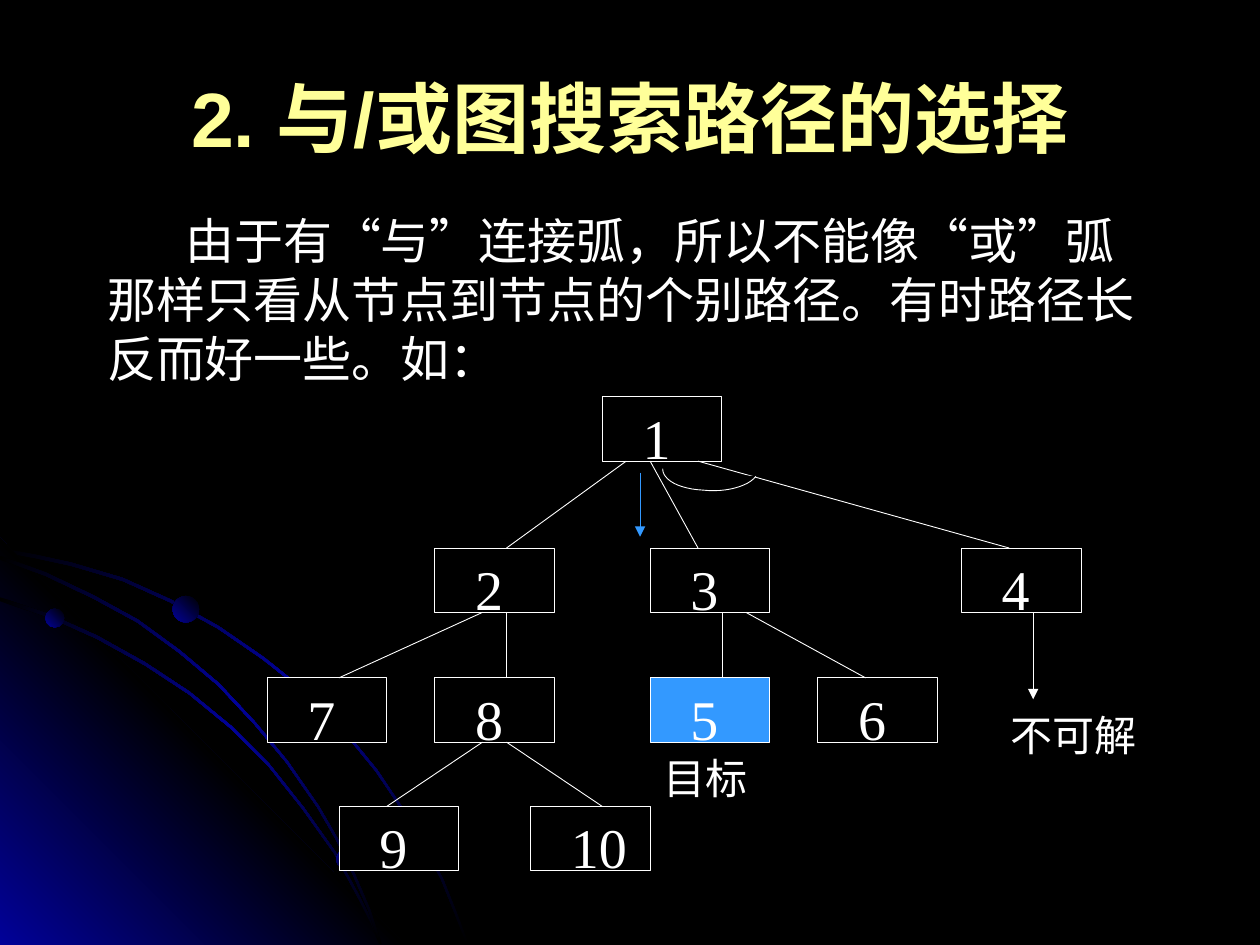
from lxml.etree import SubElement
from pptx import Presentation
from pptx.dml.color import RGBColor
from pptx.enum.shapes import MSO_CONNECTOR, MSO_SHAPE
from pptx.enum.text import MSO_ANCHOR, MSO_AUTO_SIZE, PP_ALIGN
from pptx.oxml.ns import qn
from pptx.util import Inches, Pt

COLORS = {"background": "000000", "text": "FFFFFF", "title": "FFFF99",
          "accent": "3399FF", "glow": "010199"}
BODY_FONT = "Times New Roman"

# Tree layout: label -> (left, top)
ROWS = [3.15, 4.35, 5.38, 6.4]
NODE_WIDTH, NODE_HEIGHT = 0.95, 0.51
NODES = {"1": (4.78, ROWS[0]),
         "2": (3.45, ROWS[1]), "3": (5.16, ROWS[1]), "4": (7.63, ROWS[1]),
         "7": (2.12, ROWS[2]), "8": (3.45, ROWS[2]),
         "5": (5.16, ROWS[2]), "6": (6.49, ROWS[2]),
         "9": (2.69, ROWS[3]), "10": (4.21, ROWS[3])}
GOAL = "5"
# Parent, exit point, child, entry point; points count fifths of a node's width
EDGES = [("1", 1, "2", 3), ("1", 2, "3", 2), ("1", 4, "4", 2),
         ("2", 2, "7", 3), ("2", 3, "8", 3), ("3", 3, "5", 3),
         ("3", 4, "6", 2), ("8", 2, "9", 2), ("8", 3, "10", 3)]

# Lower edges of the curved background bands
BANDS = [
    [(0, 4.38), (0.28, 4.43), (0.56, 4.49), (0.97, 4.61), (1.35, 4.78),
     (1.73, 4.99), (2.08, 5.23), (2.41, 5.49), (2.71, 5.79), (2.98, 6.12),
     (3.23, 6.49), (3.37, 6.73), (3.5, 6.98), (3.6, 7.23), (3.7, 7.49)],
    [(0, 4.77), (0.39, 4.9), (0.77, 5.07), (1.15, 5.28), (1.5, 5.51),
     (1.83, 5.78), (2.13, 6.08), (2.4, 6.42), (2.65, 6.77), (2.85, 7.14),
     (2.94, 7.32), (3.01, 7.49)],
    [(0, 4.44), (0.36, 4.57), (0.74, 4.75), (1.09, 4.94), (1.42, 5.18),
     (1.73, 5.44), (2.02, 5.75), (2.27, 6.05), (2.52, 6.41), (2.67, 6.67),
     (2.8, 6.94), (2.92, 7.22), (3.01, 7.49)],
]
# Left, top, diameter, gradient angle
DOTS = [(0.36, 4.83, 0.15, 135), (2.67, 6.74, 0.16, 225), (1.37, 4.73, 0.21, 135)]


def color(name):
    return RGBColor.from_string(COLORS[name])


def set_gradient(shape, names, angle):
    """Fill a shape with evenly spaced stops, the angle running clockwise."""
    shape.fill.background()
    properties = shape.element.spPr
    no_fill = properties.find(qn("a:noFill"))
    gradient = no_fill.makeelement(qn("a:gradFill"), {"rotWithShape": "1"})
    stops = SubElement(gradient, qn("a:gsLst"))
    for index, name in enumerate(names):
        position = 100000 * index // (len(names) - 1)
        stop = SubElement(stops, qn("a:gs"), pos=str(position))
        SubElement(stop, qn("a:srgbClr"), val=COLORS[name])
    SubElement(gradient, qn("a:lin"), ang=str(angle * 60000), scaled="0")
    properties.replace(no_fill, gradient)
    shape.line.fill.background()
    shape.shadow.inherit = False


def add_outline(slide, points, close=True):
    scaled = [(Inches(x), Inches(y)) for x, y in points]
    builder = slide.shapes.build_freeform(*scaled[0])
    builder.add_line_segments(scaled[1:], close=close)
    shape = builder.convert_to_shape()
    shape.shadow.inherit = False
    return shape


def style_line(line, name="text"):
    line.color.rgb = color(name)
    line.width = Pt(0.5)


def add_line(slide, start, end, name="text", arrow=False):
    connector = slide.shapes.add_connector(
        MSO_CONNECTOR.STRAIGHT, *[Inches(value) for value in (*start, *end)])
    style_line(connector.line, name)
    if arrow:
        SubElement(connector.line._get_or_add_ln(), qn("a:tailEnd"), type="triangle")
    SubElement(connector.element.spPr, qn("a:effectLst"))


def write_text(shape, text, size, name="text", font=BODY_FONT, bold=False,
               align=PP_ALIGN.LEFT, anchor=MSO_ANCHOR.TOP, left=0.1):
    frame = shape.text_frame
    frame_format = {"word_wrap": True, "auto_size": MSO_AUTO_SIZE.NONE,
                    "vertical_anchor": anchor,
                    "margin_left": Inches(left), "margin_right": Inches(0.1),
                    "margin_top": Inches(0.05), "margin_bottom": Inches(0.05)}
    for key, value in frame_format.items():
        setattr(frame, key, value)
    frame.text = text
    paragraph = frame.paragraphs[0]
    paragraph.alignment = align
    paragraph.space_before = Pt(0)
    run_font = paragraph.runs[0].font
    for key, value in {"size": Pt(size), "name": font, "bold": bold}.items():
        setattr(run_font, key, value)
    run_font.color.rgb = color(name)
    return paragraph


def place(shape, left, top, width, height):
    box = {"left": left, "top": top, "width": width, "height": height}
    for key, value in box.items():
        setattr(shape, key, Inches(value))


def add_label(slide, text, left, top, width):
    box = slide.shapes.add_textbox(Inches(left), Inches(top), Inches(width), Inches(0.5))
    write_text(box, text, 24)


def add_node(slide, label, left, top):
    node = slide.shapes.add_shape(MSO_SHAPE.RECTANGLE, Inches(left), Inches(top),
                                  Inches(NODE_WIDTH), Inches(NODE_HEIGHT))
    node.fill.solid()
    node.fill.fore_color.rgb = color("accent" if label == GOAL else "background")
    style_line(node.line)
    node.shadow.inherit = False
    write_text(node, label, 32, left=0.32)


def node_point(label, fifth, bottom=False):
    left, top = NODES[label]
    return left + NODE_WIDTH * fifth / 5, top + NODE_HEIGHT * bottom


def add_band(slide, lower):
    """Close a thin band whose upper edge follows the lower one."""
    last = len(lower) - 1
    upper = [(x + 0.02 * i / last, y - 0.03 * (1 - i / last))
             for i, (x, y) in enumerate(lower)]
    band = add_outline(slide, lower + upper[::-1])
    set_gradient(band, ["background", "glow", "background"], 225)


def add_backdrop(slide):
    add_band(slide, BANDS[0])
    corner = add_outline(slide, [(0, 4.27), (3.22, 7.5), (0, 7.5)])
    set_gradient(corner, ["glow", "background", "glow"], 135)
    for lower in BANDS[1:]:
        add_band(slide, lower)
    for left, top, size, angle in DOTS:
        dot = slide.shapes.add_shape(MSO_SHAPE.OVAL, Inches(left), Inches(top),
                                     Inches(size), Inches(size))
        set_gradient(dot, ["background", "glow"], angle)


def bezier(a, b, c, d, steps=12):
    for step in range(1, steps + 1):
        t = step / steps
        weights = ((1 - t) ** 3, 3 * t * (1 - t) ** 2, 3 * t * t * (1 - t), t ** 3)
        yield tuple(sum(w * p[axis] for w, p in zip(weights, (a, b, c, d)))
                    for axis in (0, 1))


def add_and_arc(slide):
    start, middle, end = (6, 3.78), (5.58, 3.89), (5.26, 3.72)
    curve = [start, *bezier(start, (5.94, 3.86), (5.76, 3.91), middle),
             *bezier(middle, (5.39, 3.88), (5.26, 3.81), end)]
    area = add_outline(slide, curve + [(5.62, 3.75)])
    area.fill.solid()
    area.fill.fore_color.rgb = color("background")
    area.line.fill.background()
    arc = add_outline(slide, curve, close=False)
    arc.fill.background()
    style_line(arc.line)


def main():
    presentation = Presentation()
    presentation.slide_width, presentation.slide_height = Inches(10), Inches(7.5)
    slide = presentation.slides.add_slide(presentation.slide_layouts[1])
    slide.background.fill.solid()
    slide.background.fill.fore_color.rgb = color("background")
    add_backdrop(slide)

    # Title and introduction
    title, body = slide.placeholders
    place(title, 0.5, 0.3, 9, 1.25)
    write_text(title, "2. 与/或图搜索路径的选择", 44, "title", "Arial", True,
               PP_ALIGN.CENTER, MSO_ANCHOR.MIDDLE)
    place(body, 0.75, 1.62, 8.5, 1.5)
    paragraph = write_text(body, "由于有“与”连接弧，所以不能像“或”弧那样只看从节点到节点的"
                           "个别路径。有时路径长反而好一些。如：", 28)
    properties = paragraph._p.get_or_add_pPr()
    properties.set("marL", "0")
    properties.set("indent", str(Inches(0.62)))
    SubElement(properties, qn("a:buNone"))

    # Search tree
    for label, position in NODES.items():
        add_node(slide, label, *position)
    for parent, leave, child, enter in EDGES:
        add_line(slide, node_point(parent, leave, bottom=True), node_point(child, enter))
    add_line(slide, (5.08, 3.75), (5.08, 4.26), "accent", arrow=True)
    add_line(slide, node_point("4", 3, bottom=True), (8.2, 5.55), arrow=True)
    add_and_arc(slide)

    # Labels
    add_label(slide, "目标", 5.17, 5.92, 1.33)
    add_label(slide, "不可解", 7.92, 5.58, 1.25)
    presentation.save("out.pptx")


if __name__ == "__main__":
    main()
